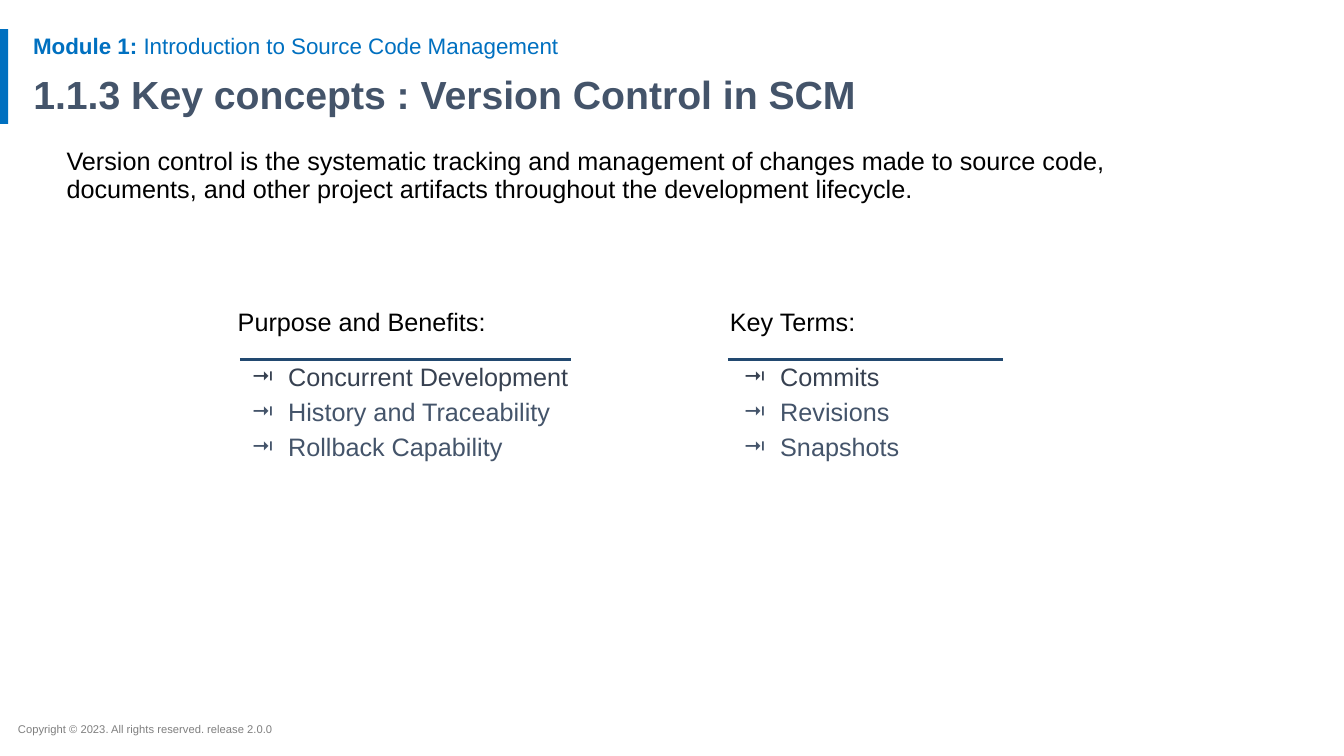
from lxml import etree
from pptx import Presentation
from pptx.dml.color import RGBColor
from pptx.enum import shapes, text
from pptx.oxml import ns
from pptx.util import Inches, Pt

BLUE, SLATE, INK = "0070C0", "44546A", "374151"
BLACK, GRAY, NAVY = "000000", "7F7F7F", "224970"

COLUMNS = [
    # text left, rule start, rule end, heading, items
    (2.26, 2.38, 5.66, "Purpose and Benefits:",
     ["Concurrent Development", "History and Traceability", "Rollback Capability"]),
    (7.14, 7.22, 9.95, "Key Terms:", ["Commits", "Revisions", "Snapshots"]),
]


def rgb(value):
    return RGBColor.from_string(value)


def add_run(p, content, size=18, color=BLACK, bold=False):
    r = p.add_run()
    r.text = content
    r.font.name = "Arial"
    r.font.size = Pt(size)
    r.font.bold = bold
    r.font.color.rgb = rgb(color)


def format_paragraph(p, spacing=1.0, before=0):
    p.alignment = text.PP_ALIGN.LEFT
    p.line_spacing = spacing
    p.space_before = Pt(before)


def set_bullet(p, char=None, color=BLACK, left=0, indent=0):
    """Give the paragraph a bullet, or none when char is missing."""
    pPr = p._p.get_or_add_pPr()
    pPr.set("marL", str(Inches(left)))
    pPr.set("indent", str(Inches(indent)))
    if char is None:
        etree.SubElement(pPr, ns.qn("a:buNone"))
        return
    clr = etree.SubElement(pPr, ns.qn("a:buClr"))
    etree.SubElement(clr, ns.qn("a:srgbClr"), val=color)
    etree.SubElement(pPr, ns.qn("a:buFont"), typeface="Arial")
    etree.SubElement(pPr, ns.qn("a:buChar"), char=char)


def setup_frame(sp, anchor=text.MSO_ANCHOR.TOP, margin=0.05, grow=False):
    tf = sp.text_frame
    tf.word_wrap = True
    tf.auto_size = (text.MSO_AUTO_SIZE.SHAPE_TO_FIT_TEXT if grow
                    else text.MSO_AUTO_SIZE.NONE)
    tf.vertical_anchor = anchor
    tf.margin_left = tf.margin_right = Inches(0.1)
    tf.margin_top = tf.margin_bottom = Inches(margin)
    return tf


def add_text_box(slide, box, **frame):
    return setup_frame(slide.shapes.add_textbox(*map(Inches, box)), **frame)


def fill_placeholder(sp, box, content, anchor, **font):
    sp.left, sp.top, sp.width, sp.height = map(Inches, box)
    p = setup_frame(sp, anchor).paragraphs[0]
    format_paragraph(p, 0.9)
    set_bullet(p)
    add_run(p, content, **font)


def add_accent_bar(slide):
    sp = slide.shapes.add_shape(shapes.MSO_SHAPE.RECTANGLE, 0, Inches(0.29),
                                Inches(0.08), Inches(0.94))
    sp.shadow.inherit = False
    sp.fill.solid()
    sp.fill.fore_color.rgb = rgb(BLUE)
    sp.line.fill.background()


def add_rule(slide, start, end, y):
    line = slide.shapes.add_connector(shapes.MSO_CONNECTOR.STRAIGHT, Inches(start),
                                      Inches(y), Inches(end), Inches(y))
    line.line.color.rgb = rgb(NAVY)
    line.line.width = Pt(2.25)
    etree.SubElement(line._element.spPr, ns.qn("a:effectLst"))


def add_column(slide, left, start, end, heading, items):
    tf = add_text_box(slide, (left, 2.89, 3.96, 2.02), margin=0.1, grow=True)
    p = tf.paragraphs[0]
    format_paragraph(p, 1.15, 15)
    add_run(p, heading)
    for i, item in enumerate(items):
        color = SLATE if i else INK
        p = tf.add_paragraph()
        format_paragraph(p, 1.15, 0 if i else 15)
        set_bullet(p, "⭲", color, 0.5, -0.36)
        add_run(p, item, color=color)
    add_rule(slide, start, end, 3.57)


def main():
    prs = Presentation()
    prs.slide_width, prs.slide_height = Inches(13.33), Inches(7.5)
    slide = prs.slides.add_slide(prs.slide_layouts[1])

    add_accent_bar(slide)
    p = add_text_box(slide, (0.08, 7.12, 7.13, 0.24), grow=True).paragraphs[0]
    add_run(p, "Copyright © 2023. All rights reserved. release 2.0.0", size=8, color=GRAY)

    p = add_text_box(slide, (0.23, 0.3, 11.5, 0.33),
                     anchor=text.MSO_ANCHOR.MIDDLE).paragraphs[0]
    format_paragraph(p, 0.9)
    add_run(p, "Module 1:", size=16, color=BLUE, bold=True)
    add_run(p, " Introduction to Source Code Management", size=16, color=BLUE)

    fill_placeholder(slide.shapes.title, (0.23, 0.69, 11.5, 0.54),
                     "1.1.3 Key concepts : Version Control in SCM",
                     text.MSO_ANCHOR.MIDDLE, size=28, color=SLATE, bold=True)
    fill_placeholder(slide.placeholders[1], (0.56, 1.43, 11.24, 5.29),
                     "Version control is the systematic tracking and management of "
                     "changes made to source code, documents, and other project "
                     "artifacts throughout the development lifecycle.",
                     text.MSO_ANCHOR.TOP)

    for column in COLUMNS:
        add_column(slide, *column)
    prs.save("out.pptx")


if __name__ == "__main__":
    main()
